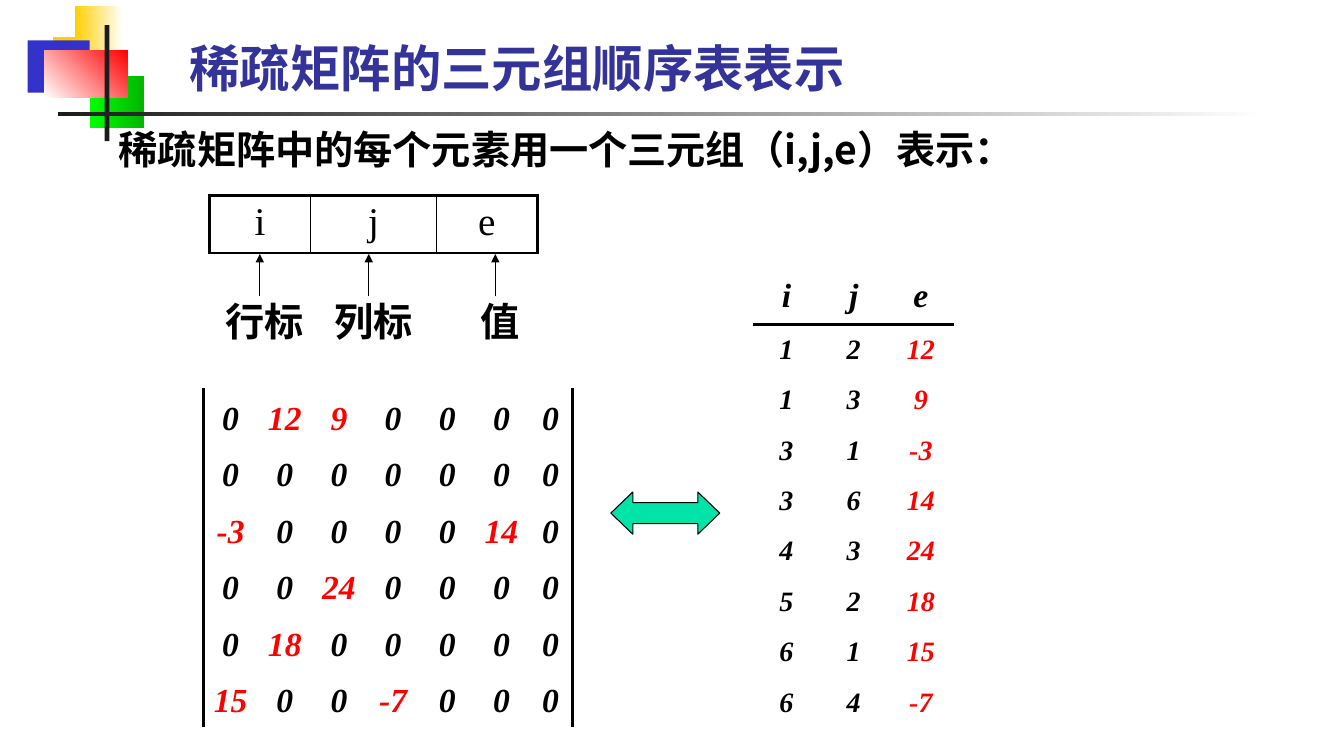
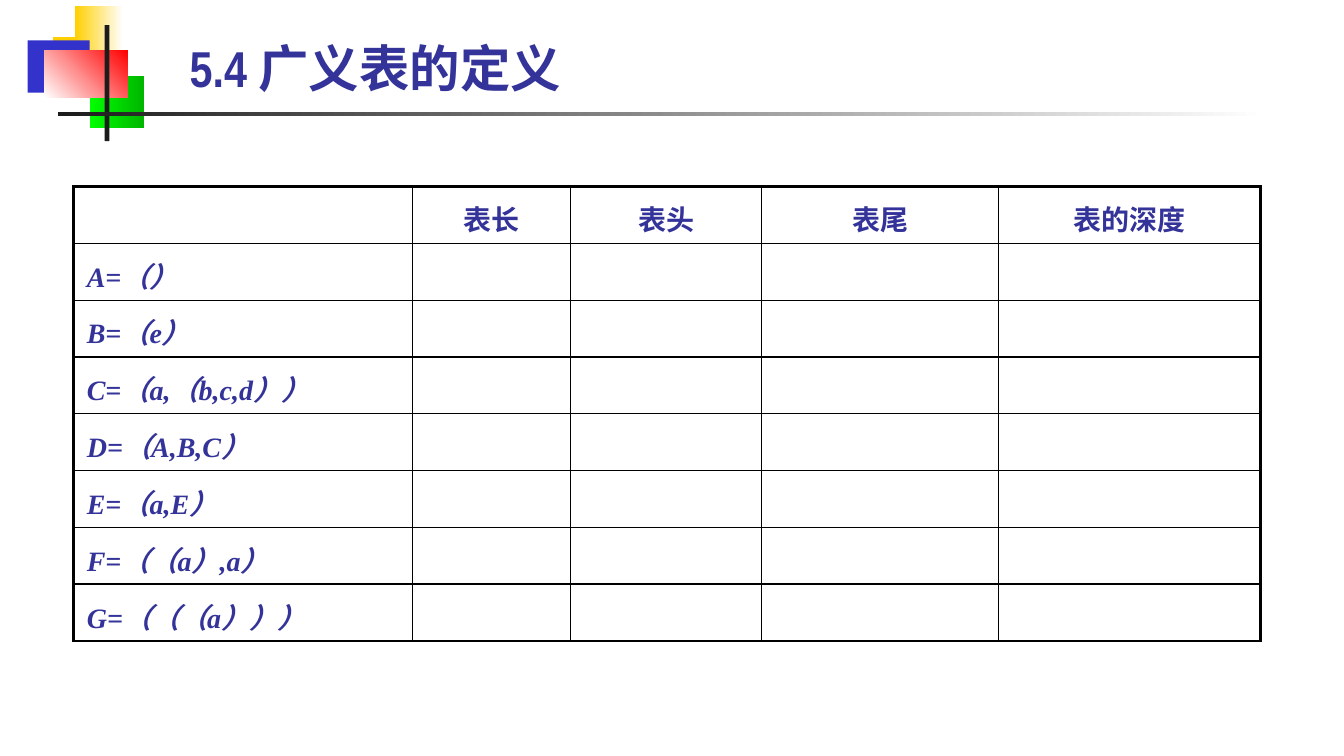
import pptx
import pptx.dml.color
import pptx.enum.dml
import pptx.enum.shapes
import pptx.enum.text
import pptx.oxml
import pptx.oxml.ns
import pptx.util

Pt = pptx.util.Pt
qn = pptx.oxml.ns.qn
ALIGN = pptx.enum.text.PP_ALIGN
ANCHOR = pptx.enum.text.MSO_ANCHOR
SHAPE = pptx.enum.shapes.MSO_SHAPE

COLORS = {
    "title": "333399", "text": "000000", "value": "FF0000", "white": "FFFFFF",
    "yellow": "FFCF01", "blue": "3333CC", "lime": "00FF00", "green": "00B600",
    "red": "FF0000", "dark": "1C1C1C", "arrow": "00E4A8",
}
CJK = "Noto Sans CJK SC"
SERIF = "Times New Roman"
NO_GRID = "{2D5ABB26-0587-4C30-8999-92F81FD0307C}"
TITLE = {"name": "Arial Narrow", "size": Pt(36), "bold": True}
BODY = {"name": CJK, "size": Pt(28), "bold": True}
FIELD = {"name": SERIF, "size": Pt(28)}
LABEL = {**FIELD, "bold": True}
NUMBER = {"name": SERIF, "size": Pt(24), "bold": True, "italic": True}
SMALL_NUMBER = {**NUMBER, "size": Pt(20)}
HEADER = {"name": SERIF, "size": Pt(20), "bold": True}
FORMULA = {**HEADER, "italic": True}

ORNAMENTS = [
    ((38, 26.6, 46, 37.4), ["yellow"], 0),
    ((53.5, 4.3, 34.5, 37.4), ["yellow", "white"], 0),
    ((19.8, 28.8, 44.3, 37.4), ["blue"], 0),
    ((64.3, 54.3, 38.7, 37.4), ["lime", "green"], 0),
    ((31.5, 36, 59.8, 33.4), ["white", "red"], 45),
    ((74.8, 18, 3.4, 82.8), ["dark"], 0),
    ((41.4, 80.2, 864, 2.5), ["dark", "white"], 0),
]
MATRIX = [
    [0, 12, 9, 0, 0, 0, 0],
    [0, 0, 0, 0, 0, 0, 0],
    [-3, 0, 0, 0, 0, 14, 0],
    [0, 0, 24, 0, 0, 0, 0],
    [0, 18, 0, 0, 0, 0, 0],
    [15, 0, 0, -7, 0, 0, 0],
]
HEADINGS = ["", "表长", "表头", "表尾", "表的深度"]
FORMULAS = ["A=（）", "B=（e）", "C=（a,（b,c,d））", "D=（A,B,C）",
            "E=（a,E）", "F=（（a）,a）", "G=（（（a）））"]


def rgb(key):
    """Return the named colour."""
    return pptx.dml.color.RGBColor.from_string(COLORS[key])


def place(sp, box):
    """Move and size a shape to a box in points."""
    for name, value in zip(("left", "top", "width", "height"), box):
        setattr(sp, name, Pt(value))


def write(tf, text, fmt, color="text", align=ALIGN.LEFT, spacing=1):
    """Put one formatted line in a text frame."""
    p = tf.paragraphs[0]
    p.alignment = align
    p.line_spacing = spacing
    r = p.add_run()
    r.text = text
    for name, value in fmt.items():
        setattr(r.font, name, value)
    r.font.color.rgb = rgb(color)
    ea = pptx.oxml.parse_xml(f'<a:ea {pptx.oxml.ns.nsdecls("a")} typeface="{CJK}"/>')
    r.font._element.find(qn("a:latin")).addnext(ea)


def add_rect(slide, box, colors, angle):
    """Draw a borderless rectangle with a plain or gradient fill."""
    sp = slide.shapes.add_shape(SHAPE.RECTANGLE, *map(Pt, box))
    sp.shadow.inherit = False
    sp.line.fill.background()
    if len(colors) == 1:
        sp.fill.solid()
        sp.fill.fore_color.rgb = rgb(colors[0])
        return sp
    sp.fill.gradient()
    sp.fill.gradient_angle = angle
    for stop, color, position in zip(sp.fill.gradient_stops, colors, (0, 1)):
        stop.color.rgb = rgb(color)
        stop.position = position
    return sp


def decorate_layout(layout, slide):
    """Draw the corner blocks and rule, and hand them to the layout."""
    for n, ornament in enumerate(ORNAMENTS):
        sp = add_rect(slide, *ornament)
        sp.element.nvSpPr.cNvPr.set("id", str(100 + n))
        layout.shapes.element.insert(2 + n, sp.element)


def set_title(slide, text):
    """Place and format the slide title."""
    sp = slide.shapes.title
    place(sp, (128.2, 18, 818, 60))
    tf = sp.text_frame
    tf.auto_size = pptx.enum.text.MSO_AUTO_SIZE.NONE
    tf.vertical_anchor = ANCHOR.MIDDLE
    write(tf, text, TITLE, "title")


def set_borders(cell, widths):
    """Give a cell its left, right, top and bottom lines."""
    tcPr = cell._tc.get_or_add_tcPr()
    ns = pptx.oxml.ns.nsdecls("a")
    for side, width in zip("LRTB", widths):
        fill = (f'<a:solidFill><a:srgbClr val="{COLORS["text"]}"/></a:solidFill>'
                if width else "<a:noFill/>")
        tcPr.append(pptx.oxml.parse_xml(
            f'<a:ln{side} {ns} w="{int(Pt(width))}">{fill}</a:ln{side}>'))


def add_grid(slide, origin, cols, rows, lines, style, margin=7.2, anchor=ANCHOR.MIDDLE):
    """Build a table whose horizontal and vertical lines have listed widths."""
    across, down = lines
    box = (*origin, sum(cols), sum(rows))
    frame = slide.shapes.add_table(len(rows), len(cols), *map(Pt, box))
    next(frame.element.iter(qn("a:tableStyleId"))).text = NO_GRID
    table = frame.table
    table.first_row = table.horz_banding = False
    for col, width in zip(table.columns, cols):
        col.width = Pt(width)
    for row, height in zip(table.rows, rows):
        row.height = Pt(height)
    for r in range(len(rows)):
        for c in range(len(cols)):
            cell = table.cell(r, c)
            set_borders(cell, (down[c], down[c + 1], across[r], across[r + 1]))
            cell.fill.background()
            cell.margin_left = cell.margin_right = Pt(margin)
            cell.vertical_anchor = anchor
            content = style(r, c)
            if content:
                write(cell.text_frame, **content)


def add_node(slide, x, y):
    """Draw the three fields of a triple with their labelled arrows."""
    def style(r, c):
        return {"text": "ije"[c], "fmt": FIELD, "align": ALIGN.CENTER}

    add_grid(slide, (x, y), [72, 90, 72], [41], ([2.25] * 2, [2.25, 1, 1, 2.25]),
             style, anchor=ANCHOR.TOP)
    for text, dx, width in (("行标", 3.6, 71.2), ("列标", 81.4, 71.2), ("值", 185.8, 43.2)):
        add_label(slide, text, (x + dx, y + 69.1, width, 41))


def add_label(slide, text, box):
    """Group a label with the arrow that points up from it."""
    left, top, width, height = box
    shapes = slide.shapes.add_group_shape().shapes
    tf = shapes.add_textbox(*map(Pt, box)).text_frame
    tf.word_wrap = False
    tf.auto_size = pptx.enum.text.MSO_AUTO_SIZE.SHAPE_TO_FIT_TEXT
    write(tf, text, LABEL, align=ALIGN.CENTER)
    x = left + width / 2 - 3.4
    line = shapes.add_connector(pptx.enum.shapes.MSO_CONNECTOR.STRAIGHT,
                                Pt(x), Pt(top + 2.9), Pt(x), Pt(top - 27.4))
    line.line.width = Pt(0.75)
    line.line.color.rgb = rgb("text")
    ns = pptx.oxml.ns.nsdecls("a")
    line.line._get_or_add_ln().append(
        pptx.oxml.parse_xml(f'<a:tailEnd {ns} type="triangle"/>'))
    line.element.spPr.append(pptx.oxml.parse_xml(f"<a:effectLst {ns}/>"))


def add_matrix(slide, x, y):
    """Show the sparse matrix between two bars, with its values in red."""
    def style(r, c):
        value = MATRIX[r][c]
        return {"text": str(value), "fmt": NUMBER, "color": "value" if value else "text",
                "align": ALIGN.CENTER, "spacing": 1.15}

    add_grid(slide, (x, y), [38.7] * 6 + [31.3], [40.3] * 6,
             ([0] * 7, [2.25] + [0] * 6 + [2.25]), style)


def add_triples(slide, x, y):
    """List row, column and value of each nonzero matrix element."""
    triples = [(i, j, e) for i, row in enumerate(MATRIX, 1)
               for j, e in enumerate(row, 1) if e]
    data = ["ije", *triples]

    def style(r, c):
        return {"text": str(data[r][c]), "fmt": SMALL_NUMBER if r else NUMBER,
                "color": "value" if r and c == 2 else "text",
                "align": ALIGN.CENTER, "spacing": 1.15}

    add_grid(slide, (x, y), [48] * 3, [41] + [36] * len(triples),
             ([0, 3] + [0] * len(triples), [0] * 4), style, anchor=ANCHOR.TOP)


def add_double_arrow(slide, box):
    """Draw the two-way arrow between matrix and triples."""
    sp = slide.shapes.add_shape(SHAPE.LEFT_RIGHT_ARROW, *map(Pt, box))
    sp.shadow.inherit = False
    sp.adjustments[0], sp.adjustments[1] = 0.5, 0.52
    sp.fill.solid()
    sp.fill.fore_color.rgb = rgb("arrow")
    sp.line.color.rgb = rgb("text")
    sp.line.width = Pt(0.75)


def build_triples_slide(slide):
    """Fill the slide on storing a sparse matrix as triples."""
    set_title(slide, "稀疏矩阵的三元组顺序表表示")
    tf = slide.shapes.add_textbox(*map(Pt, (77.8, 85.7, 726.5, 48.2))).text_frame
    tf.word_wrap = True
    write(tf, "稀疏矩阵中的每个元素用一个三元组（i,j,e）表示：", BODY)
    add_node(slide, 149.8, 139.7)
    add_triples(slide, 537.8, 190.8)
    add_double_arrow(slide, (436.3, 351.4, 77.8, 30.2))
    add_matrix(slide, 145.4, 277.2)


def build_lists_slide(slide):
    """Fill the slide with the table of generalized lists."""
    set_title(slide, "5.4 广义表的定义")

    def style(r, c):
        if r == 0 and c:
            return {"text": HEADINGS[c], "fmt": HEADER, "color": "title",
                    "align": ALIGN.CENTER, "spacing": 1.15}
        if r and c == 0:
            return {"text": FORMULAS[r - 1], "fmt": FORMULA, "color": "title",
                    "spacing": 1.15}
        return None

    add_grid(slide, (52.6, 133.2), [242, 113.2, 136.2, 169.4, 187.2], [34.8] * 8,
             ([2.25] + [1] * 5 + [1.5, 1.5, 2.25], [2.25] + [1] * 4 + [2.25]),
             style, margin=9.4)


def main():
    """Build and save the presentation."""
    prs = pptx.Presentation()
    prs.slide_width, prs.slide_height = Pt(960), Pt(540)
    layout = prs.slide_layouts[5]
    slides = [prs.slides.add_slide(layout) for _ in range(2)]
    decorate_layout(layout, slides[0])
    build_triples_slide(slides[0])
    build_lists_slide(slides[1])
    prs.save("out.pptx")


if __name__ == "__main__":
    main()
